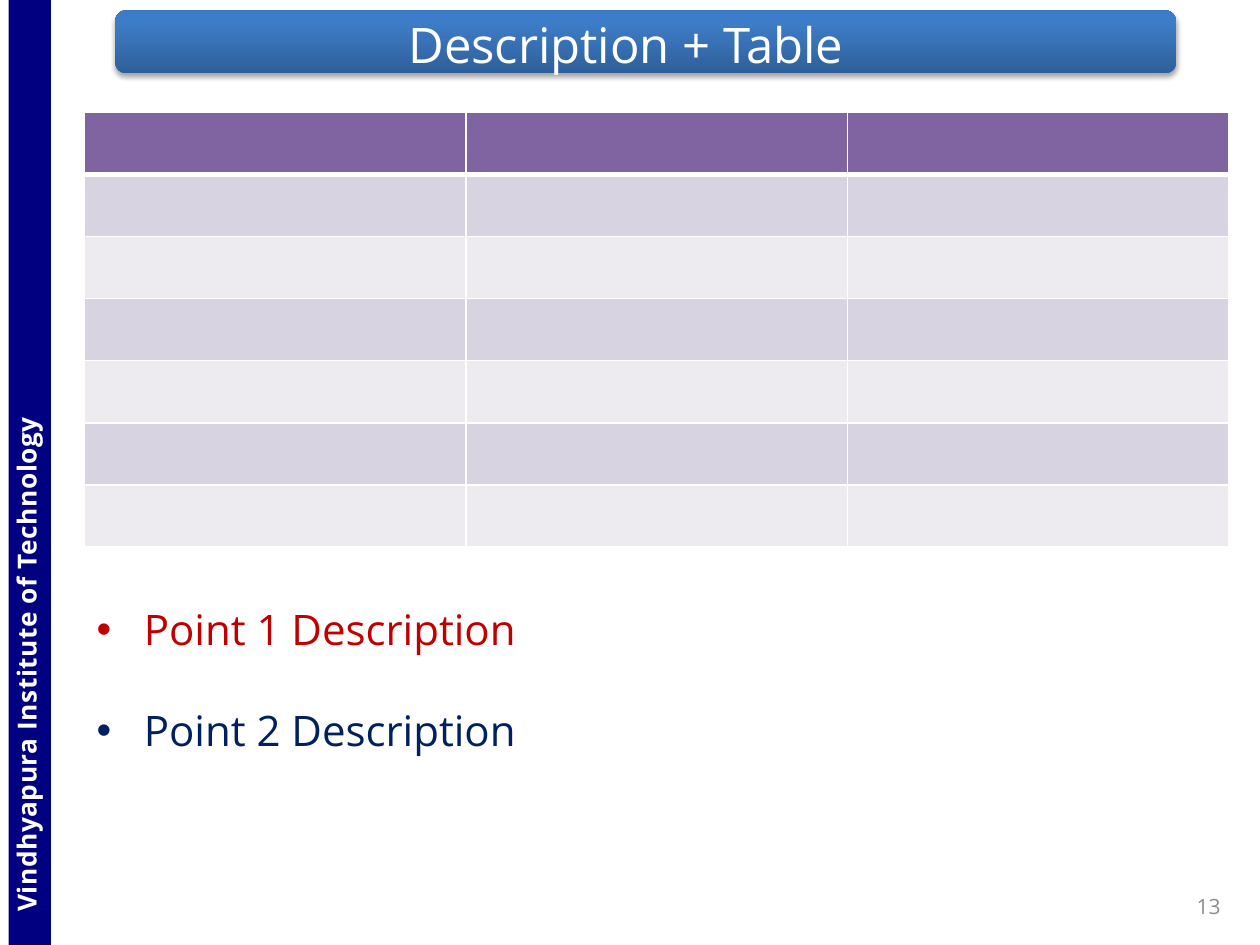
import copy

import lxml.etree
import pptx
import pptx.dml.color
import pptx.enum.shapes
import pptx.enum.text
import pptx.oxml.ns
import pptx.util

Pt = pptx.util.Pt
qn = pptx.oxml.ns.qn
ALIGN = pptx.enum.text.PP_ALIGN
ANCHOR = pptx.enum.text.MSO_ANCHOR
SHAPE = pptx.enum.shapes.MSO_SHAPE
FONT = "Open Sans"


def rgb(code):
    return pptx.dml.color.RGBColor.from_string(code)


def child(node, tag, **attrs):
    """Append a DrawingML element and return it."""
    return lxml.etree.SubElement(node, qn(tag), {k: str(v) for k, v in attrs.items()})


def place(shape, box):
    shape.left, shape.top, shape.width, shape.height = (Pt(v) for v in box)


def write(para, text, size=24, color="000000", bold=False, align=None, lines=None, gap=0):
    """Fill a paragraph with one run; gap is the spacing between letters."""
    para.alignment = align
    para.space_before = Pt(0)
    para.line_spacing = lines
    run = para.add_run()
    run.text = text
    font = run.font
    font.name, font.size, font.bold = FONT, Pt(size), bold
    font.color.rgb = rgb(color)
    if gap:
        font._element.set("spc", str(round(gap * 100)))


def setup(frame, anchor=ANCHOR.TOP, pad=(7.2, 3.6, 7.2, 3.6)):
    frame.word_wrap = True
    frame.auto_size = pptx.enum.text.MSO_AUTO_SIZE.NONE
    frame.vertical_anchor = anchor
    (frame.margin_left, frame.margin_top,
     frame.margin_right, frame.margin_bottom) = (Pt(v) for v in pad)
    return frame.paragraphs[0]


def add_block(slide, kind, box):
    """Add a borderless shape behind the placeholders."""
    x, y, w, h = (Pt(v) for v in box)
    shape = slide.shapes.add_shape(kind, x, y, w, h)
    shape.line.fill.background()
    shape.shadow.inherit = False
    slide.shapes._spTree.insert(2, shape._element)
    return shape


def add_banner(slide, box):
    shape = add_block(slide, SHAPE.ROUNDED_RECTANGLE, box)
    shape.fill.gradient()
    shape.fill.gradient_angle = 90
    props = shape._element.spPr
    stops = props.find(".//" + qn("a:gsLst"))
    stops.append(copy.deepcopy(stops[-1]))
    tints = [(0, "2F5F99"), (0.8, "3D7CC7"), (1, "3A7CCB")]
    for stop, (pos, color) in zip(shape.fill.gradient_stops, tints):
        stop.position = pos
        stop.color.rgb = rgb(color)
    glow = child(props.find(qn("a:effectLst")), "a:outerShdw", blurRad=Pt(3.1),
                 dist=Pt(1.8), dir=5400000, rotWithShape=0)
    child(child(glow, "a:srgbClr", val="000000"), "a:alpha", val=35000)


def add_side(slide, box):
    """Add the vertical name strip; box is where it stands once turned."""
    x, y, w, h = box
    shape = add_block(slide, SHAPE.RECTANGLE, (x + (w - h) / 2, y + (h - w) / 2, h, w))
    shape.rotation = 270
    shape.fill.solid()
    shape.fill.fore_color.rgb = rgb("000080")
    para = setup(shape.text_frame, ANCHOR.MIDDLE, (19, 0.7, 7.2, 5))
    write(para, "Vindhyapura Institute of Technology", size=15, color="FFFFFF",
          bold=True, align=ALIGN.LEFT, gap=0.3)


def add_title(slide, box):
    title = slide.shapes.title
    place(title, box)
    write(setup(title.text_frame, ANCHOR.MIDDLE), "Description + Table",
          size=28, color="FFFFFF", align=ALIGN.CENTER)


def add_points(slide, box):
    body = slide.placeholders[1]
    place(body, box)
    para = setup(body.text_frame)
    write(para, "Point 1 Description", color="C00000", lines=2)
    write(body.text_frame.add_paragraph(), "Point 2 Description", color="002060", lines=2)


def add_number(slide, box):
    x, y, w, h = (Pt(v) for v in box)
    frame = slide.shapes.add_textbox(x, y, w, h).text_frame
    write(setup(frame, ANCHOR.MIDDLE, (7.2, 0, 10.5, 0)), "13",
          size=12, color="8C8C8C", align=ALIGN.RIGHT)


def edge(cell, side, width):
    line = child(cell._tc.get_or_add_tcPr(), "a:ln" + side, w=Pt(width))
    child(child(line, "a:solidFill"), "a:srgbClr", val="FFFFFF")


def add_grid(slide, box, rows=7, cols=3):
    x, y, w, h = (Pt(v) for v in box)
    table = slide.shapes.add_table(rows, cols, x, y, w, h).table
    for r in range(rows):
        color = "8064A2" if r == 0 else ("EDEAF0", "D8D3E0")[r % 2]
        for c in range(cols):
            cell = table.cell(r, c)
            for side in "LRTB":
                heavy = (r, side) in ((0, "B"), (1, "T"))
                edge(cell, side, 3 if heavy else 1)
            cell.fill.solid()
            cell.fill.fore_color.rgb = rgb(color)


def main():
    deck = pptx.Presentation()
    deck.slide_width, deck.slide_height = Pt(720), Pt(540)
    slide = deck.slides.add_slide(deck.slide_layouts[1])
    add_side(slide, (5, 0, 24.2, 540))
    add_banner(slide, (66, 6, 606, 36))
    add_title(slide, (129.6, 0, 456, 50.4))
    add_points(slide, (48, 312.5, 648, 124))
    add_number(slide, (582, 510, 126, 15))
    add_grid(slide, (48.3, 64.3, 654, 248.4))
    deck.save("out.pptx")


if __name__ == "__main__":
    main()
